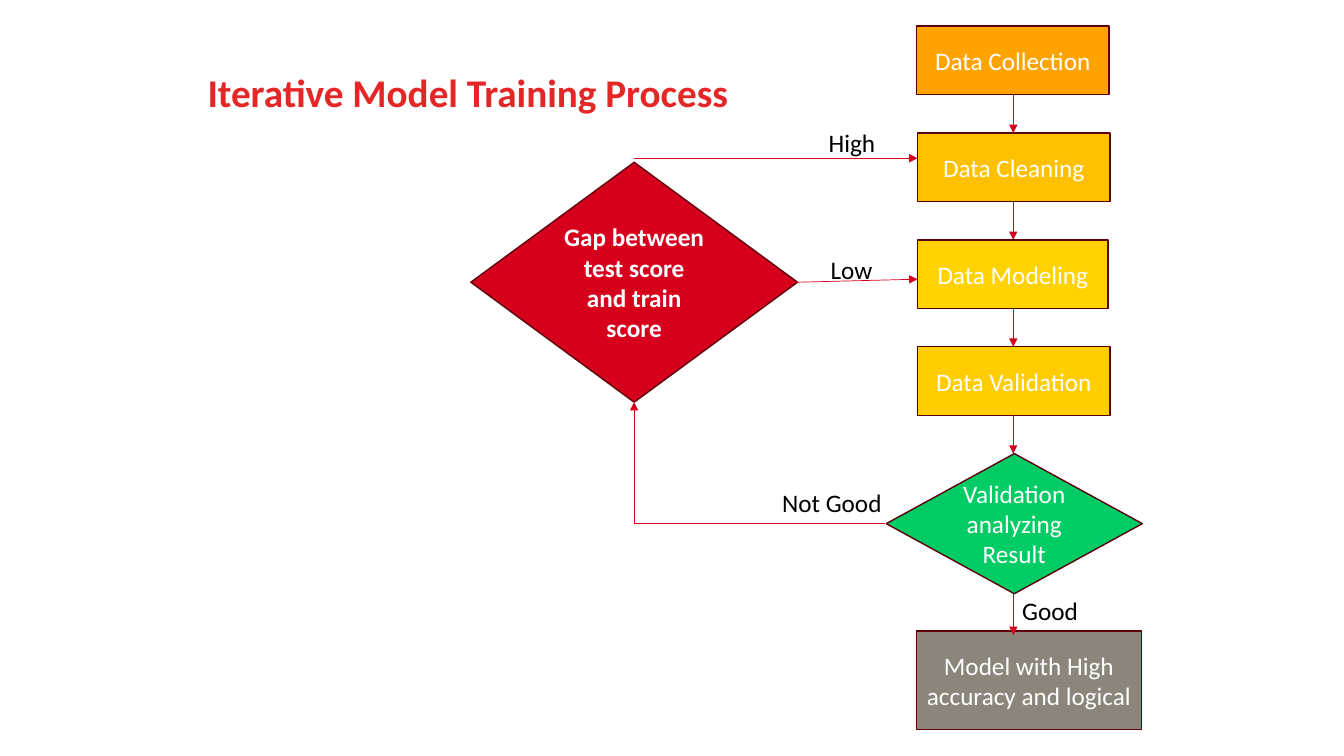
"""Builds a flowchart slide of an iterative model training process."""
from lxml import etree
from pptx import Presentation
from pptx import util as u
from pptx.dml.color import RGBColor
from pptx.enum import shapes, text
from pptx.oxml import ns

COLOURS = {
    "red": "D6001C", "outline": "5E000C", "title": "E32726",
    "orange": "FFA300", "amber": "FFC000", "yellow": "FFD200", "gold": "FFCD00",
    "green": "00CC66", "grey": "8C857B", "white": "FFFFFF", "black": "000000",
}
RECT = shapes.MSO_SHAPE.RECTANGLE
DIAMOND = shapes.MSO_SHAPE.DIAMOND


class Flowchart:
    """Holds the style and the slide being drawn."""

    font = "Calibri"
    size = 18

    def __init__(self, slide):
        self.shapes = slide.shapes

    def colour(self, name):
        return RGBColor.from_string(COLOURS[name])

    def wording(self, frame, words, colour, size=None, bold=False):
        frame.text = words
        font = frame.paragraphs[0].runs[0].font
        font.name = self.font
        font.size = u.Pt(size or self.size)
        font.bold = bold
        font.color.rgb = self.colour(colour)

    def step(self, kind, box, words, fill, bold=False):
        step = self.shapes.add_shape(kind, *map(u.Inches, box))
        step.shadow.inherit = False
        step.fill.solid()
        step.fill.fore_color.rgb = self.colour(fill)
        step.line.color.rgb = self.colour("outline")
        step.line.width = u.Pt(1)
        frame = step.text_frame
        frame.word_wrap = True
        frame.vertical_anchor = text.MSO_ANCHOR.MIDDLE
        self.wording(frame, words, "white", bold=bold)
        frame.paragraphs[0].alignment = text.PP_ALIGN.CENTER

    def label(self, box, words, colour="black", size=None, bold=False, wrap=False):
        label = self.shapes.add_textbox(*map(u.Inches, box))
        label.text_frame.word_wrap = wrap
        self.wording(label.text_frame, words, colour, size, bold)

    def arrow(self, start, end):
        arrow = self.shapes.add_connector(
            shapes.MSO_CONNECTOR.STRAIGHT, *map(u.Inches, start + end))
        arrow.line.color.rgb = self.colour("red")
        arrow.line.width = u.Pt(0.5)
        properties = arrow.element.spPr
        etree.SubElement(properties.find(ns.qn("a:ln")), ns.qn("a:tailEnd"), type="triangle")
        etree.SubElement(properties, ns.qn("a:effectLst"))
        return properties

    def bent_arrow(self, start, end, preset, quarter_turns=0, bends=()):
        properties = self.arrow(start, end)
        properties.find(ns.qn("a:xfrm")).set("rot", str(quarter_turns * 5400000))
        geometry = properties.find(ns.qn("a:prstGeom"))
        geometry.set("prst", preset)
        guides = geometry.find(ns.qn("a:avLst"))
        for number, bend in enumerate(bends, 1):
            etree.SubElement(guides, ns.qn("a:gd"), name=f"adj{number}", fmla=f"val {bend}")


def main():
    deck = Presentation()
    deck.slide_width, deck.slide_height = u.Inches(13.33), u.Inches(7.5)
    chart = Flowchart(deck.slides.add_slide(deck.slide_layouts[6]))

    stages = [
        ("Data Collection", "orange", 9.09, 1.91),
        ("Data Cleaning", "amber", 9.1, 1.91),
        ("Data Modeling", "yellow", 9.1, 1.89),
        ("Data Validation", "gold", 9.1, 1.91),
    ]
    top, pitch, height, axis = 0.26, 1.06, 0.68, 10.05
    for row, (words, fill, left, width) in enumerate(stages):
        y = top + row * pitch
        chart.step(RECT, (left, y, width, height), words, fill)
        chart.arrow((axis, y + height), (axis, y + pitch))

    chart.step(DIAMOND, (4.67, 1.61, 3.24, 2.38),
               "Gap between test score and train score", "red", bold=True)
    chart.step(RECT, (9.09, 6.26, 2.23, 0.98),
               "Model with High accuracy and logical", "grey")
    chart.step(DIAMOND, (8.79, 4.5, 2.54, 1.39), "Validation analyzing Result", "green")

    chart.arrow((axis, 5.89), (axis, 6.3))
    chart.arrow((7.9, 2.8), (9.1, 2.77))
    chart.bent_arrow((8.78, 5.19), (6.29, 3.99), "bentConnector2")
    chart.bent_arrow((7.7, 2.98), (7.69, 0.17), "bentConnector4", 1, (138500, 78800))

    chart.label((8.12, 1.21, 0.67, 0.4), "High")
    chart.label((8.14, 2.47, 0.62, 0.4), "Low")
    chart.label((7.66, 4.79, 1.2, 0.4), "Not Good")
    chart.label((10.04, 5.86, 0.97, 0.4), "Good", wrap=True)
    chart.label((1.96, 0.63, 5.52, 0.57), "Iterative Model Training Process",
                "title", 28, bold=True, wrap=True)

    deck.save("out.pptx")


if __name__ == "__main__":
    main()
